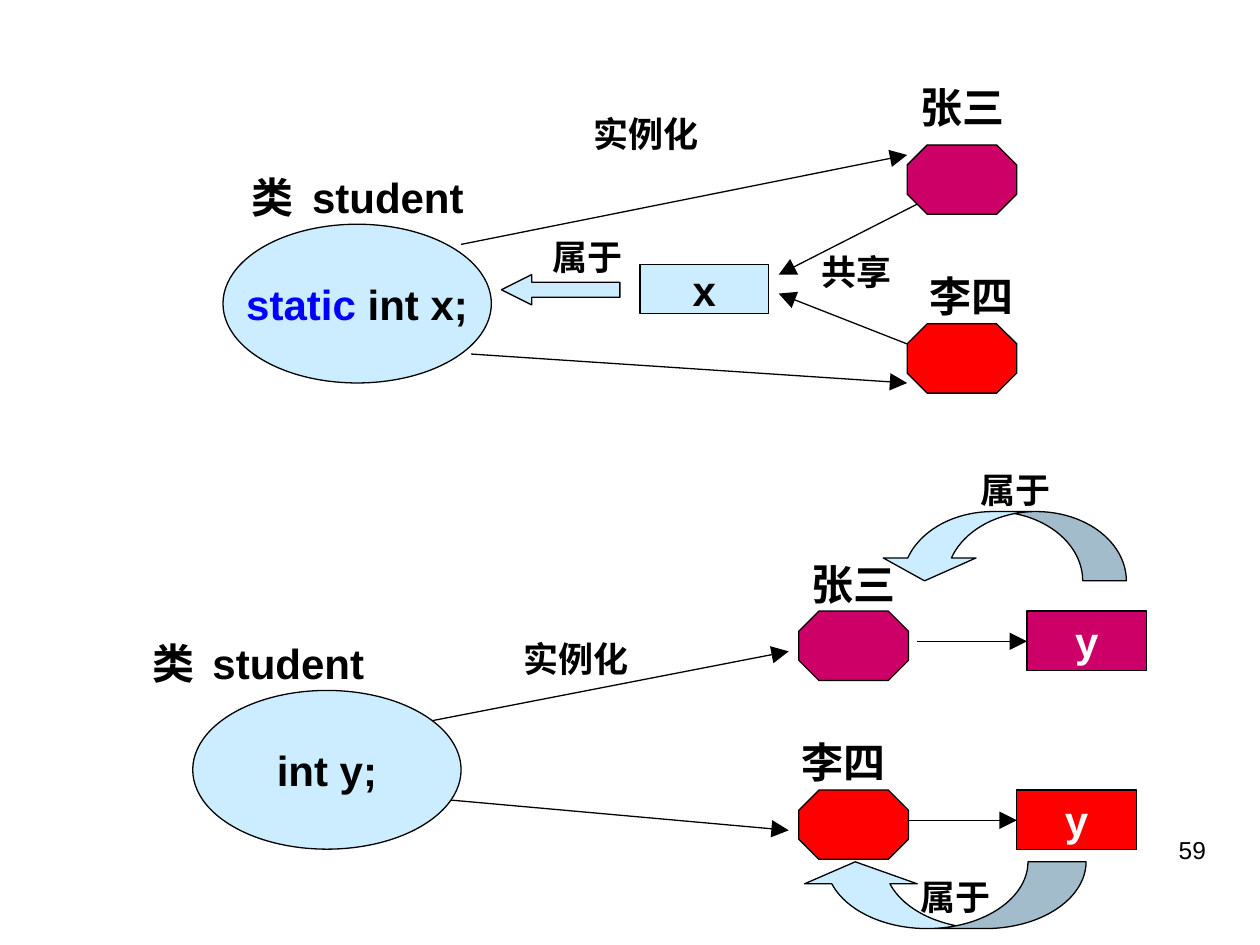
from dataclasses import dataclass
from typing import Optional

from lxml.etree import SubElement
from pptx import Presentation
from pptx.dml.color import RGBColor
from pptx.enum.shapes import MSO_CONNECTOR, MSO_SHAPE
from pptx.enum.text import MSO_ANCHOR, MSO_AUTO_SIZE, PP_ALIGN
from pptx.oxml.ns import qn
from pptx.util import Inches, Pt

COLORS = {
    "black": "000000",
    "white": "FFFFFF",
    "keyword": "0000FF",
    "sky": "CCECFF",
    "magenta": "CC0066",
    "red": "FF0000",
}


@dataclass(frozen=True)
class Run:
    text: str
    color: str = "black"
    spacing: int = 0


@dataclass(frozen=True)
class Label:
    runs: tuple[Run, ...]
    left: float
    top: float
    width: float
    height: float = 0.5
    size: int = 24
    bold: bool = True
    align: PP_ALIGN = PP_ALIGN.LEFT
    fill: Optional[str] = None
    wrap: bool = False


@dataclass(frozen=True)
class Node:
    kind: MSO_SHAPE
    left: float
    top: float
    width: float
    height: float
    fill: str
    runs: tuple[Run, ...] = ()
    adjustments: tuple[float, ...] = ()
    mirrored: bool = False


@dataclass(frozen=True)
class Arrow:
    start: tuple[float, float]
    end: tuple[float, float]


def rgb(name: str) -> RGBColor:
    return RGBColor.from_string(COLORS[name])


def write_runs(frame, runs: tuple[Run, ...], size: int, bold: bool, align: PP_ALIGN) -> None:
    paragraph = frame.paragraphs[0]
    paragraph.alignment = align
    for item in runs:
        run = paragraph.add_run()
        run.text = item.text
        run.font.name = "Arial"
        run.font.size = Pt(size)
        run.font.bold = bold
        run.font.color.rgb = rgb(item.color)
        if item.spacing:
            run.font._element.set("spc", str(item.spacing))


def draw_label(slide, label: Label) -> None:
    box = slide.shapes.add_textbox(
        Inches(label.left), Inches(label.top), Inches(label.width), Inches(label.height)
    )
    if label.fill:
        box.fill.solid()
        box.fill.fore_color.rgb = rgb(label.fill)
    box.text_frame.word_wrap = label.wrap
    box.text_frame.auto_size = MSO_AUTO_SIZE.SHAPE_TO_FIT_TEXT
    write_runs(box.text_frame, label.runs, label.size, label.bold, label.align)


def draw_node(slide, node: Node) -> None:
    shape = slide.shapes.add_shape(
        node.kind, Inches(node.left), Inches(node.top), Inches(node.width), Inches(node.height)
    )
    shape.shadow.inherit = False
    shape.fill.solid()
    shape.fill.fore_color.rgb = rgb(node.fill)
    shape.line.color.rgb = rgb("black")
    shape.line.width = Pt(0.75)
    for index, value in enumerate(node.adjustments):
        shape.adjustments[index] = value
    if node.mirrored:
        shape._element.spPr.find(qn("a:xfrm")).set("flipH", "1")
    if node.runs:
        shape.text_frame.word_wrap = False
        shape.text_frame.vertical_anchor = MSO_ANCHOR.MIDDLE
        write_runs(shape.text_frame, node.runs, 24, True, PP_ALIGN.CENTER)


def draw_arrow(slide, arrow: Arrow) -> None:
    connector = slide.shapes.add_connector(
        MSO_CONNECTOR.STRAIGHT, *(Inches(value) for value in arrow.start + arrow.end)
    )
    connector.line.color.rgb = rgb("black")
    connector.line.width = Pt(0.75)
    SubElement(
        connector.line._get_or_add_ln(), qn("a:tailEnd"), type="triangle", w="lg", len="lg"
    )
    SubElement(connector._element.spPr, qn("a:effectLst"))


def class_name(left: float, top: float) -> Label:
    runs = (Run("类"), Run(" ", spacing=500), Run("student"))
    return Label(runs, left, top, 2.3, wrap=True)


def person(name: str, left: float, top: float) -> Label:
    return Label((Run(name),), left, top, 0.87)


def relation(text: str, left: float, top: float, fill: Optional[str] = None) -> Label:
    width = 0.2 + 0.28 * len(text)
    return Label((Run(text),), left, top, width, 0.44, 20, fill=fill)


def class_body(left: float, top: float, *runs: Run) -> Node:
    return Node(MSO_SHAPE.OVAL, left, top, 2.13, 1.26, "sky", runs)


def instance(left: float, top: float, fill: str) -> Node:
    return Node(MSO_SHAPE.OCTAGON, left, top, 0.87, 0.55, fill, adjustments=(0.29,))


def field(name: str, left: float, top: float, width: float, height: float,
          fill: str, color: str) -> Node:
    return Node(MSO_SHAPE.RECTANGLE, left, top, width, height, fill, (Run(name, color),))


LABELS = [
    Label((Run("59"),), 7.17, 6.58, 2.5, 0.52, 14, False, PP_ALIGN.RIGHT),
    class_name(1.9, 1.31),
    class_name(1.11, 5.01),
    person("张三", 7.21, 0.6),
    person("李四", 7.28, 2.1),
    person("张三", 6.34, 4.38),
    person("李四", 6.26, 5.8),
    relation("实例化", 4.61, 0.84),
    relation("实例化", 4.06, 5.01),
    relation("属于", 4.29, 1.82),
    relation("属于", 7.68, 3.67),
    relation("属于", 7.21, 6.9, "white"),
    relation("共享", 6.42, 1.94),
]

NODES = [
    class_body(1.77, 1.78, Run("static", "keyword"), Run(" int x;")),
    class_body(1.53, 5.48, Run("int y;")),
    instance(7.2, 1.15, "magenta"),
    instance(7.2, 2.57, "red"),
    instance(6.34, 4.85, "magenta"),
    instance(6.34, 6.27, "red"),
    field("x", 5.08, 2.1, 1.02, 0.39, "sky", "black"),
    field("y", 8.15, 4.85, 0.95, 0.47, "magenta", "white"),
    field("y", 8.07, 6.27, 0.95, 0.47, "red", "white"),
    Node(MSO_SHAPE.LEFT_ARROW, 3.98, 2.18, 0.94, 0.24, "sky", adjustments=(0.5, 1)),
    Node(MSO_SHAPE.CURVED_DOWN_ARROW, 6.97, 4.06, 1.97, 0.55, "sky",
         adjustments=(0.63, 1.34, 0.33), mirrored=True),
    Node(MSO_SHAPE.CURVED_UP_ARROW, 6.34, 6.84, 2.28, 0.53, "sky",
         adjustments=(0.87, 1.69, 0.33), mirrored=True),
]

ARROWS = [
    Arrow((3.66, 1.94), (7.2, 1.23)),
    Arrow((3.74, 2.81), (7.2, 3.04)),
    Arrow((7.28, 1.62), (6.18, 2.18)),
    Arrow((7.2, 2.73), (6.18, 2.33)),
    Arrow((3.43, 5.72), (6.26, 5.17)),
    Arrow((3.58, 6.35), (6.26, 6.59)),
    Arrow((7.28, 5.09), (8.15, 5.09)),
    Arrow((7.2, 6.51), (8.07, 6.51)),
]


def main() -> None:
    presentation = Presentation()
    presentation.slide_width = Inches(10)
    presentation.slide_height = Inches(7.5)
    slide = presentation.slides.add_slide(presentation.slide_layouts[6])
    for draw, items in ((draw_label, LABELS), (draw_node, NODES), (draw_arrow, ARROWS)):
        for item in items:
            draw(slide, item)
    presentation.save("out.pptx")


if __name__ == "__main__":
    main()
